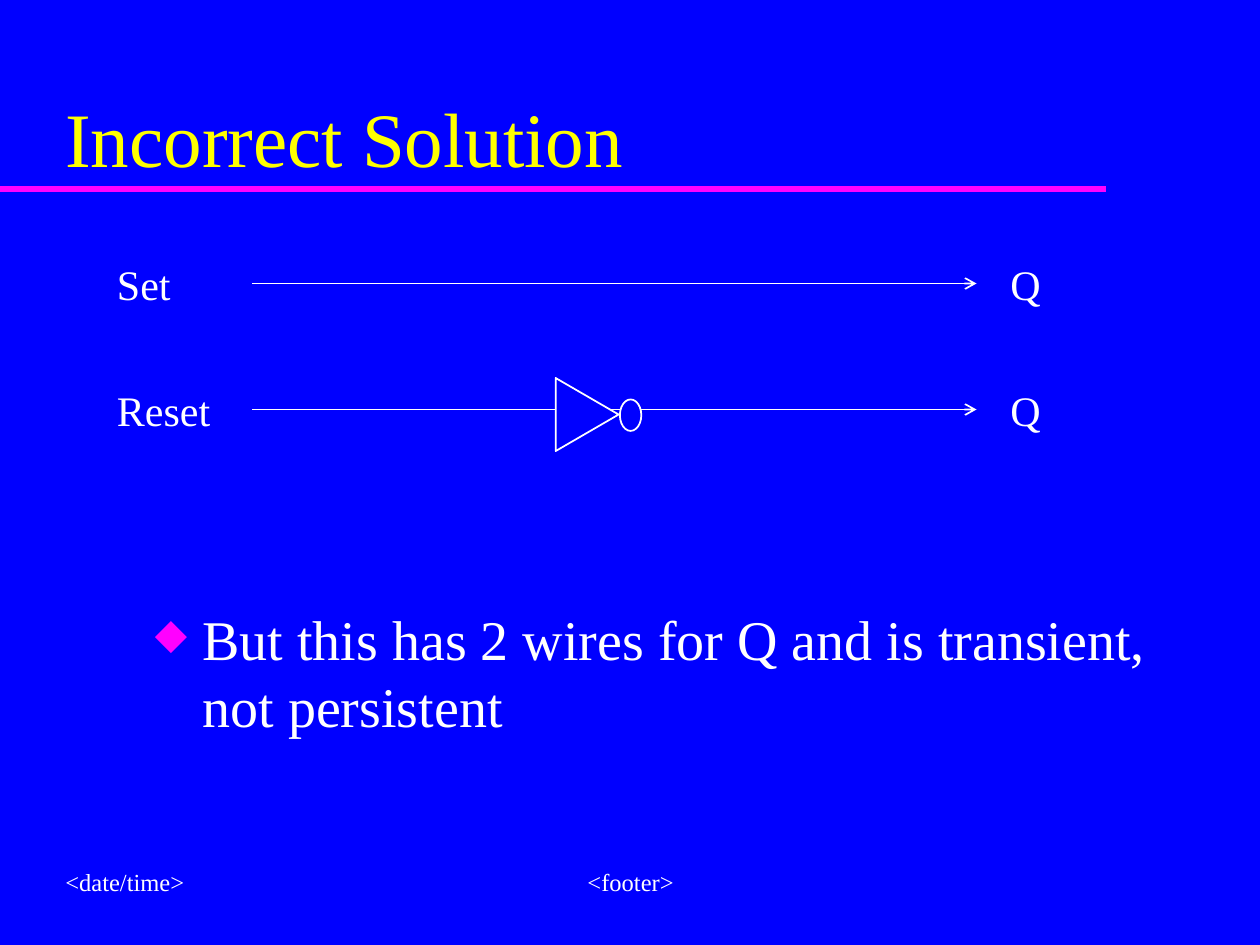
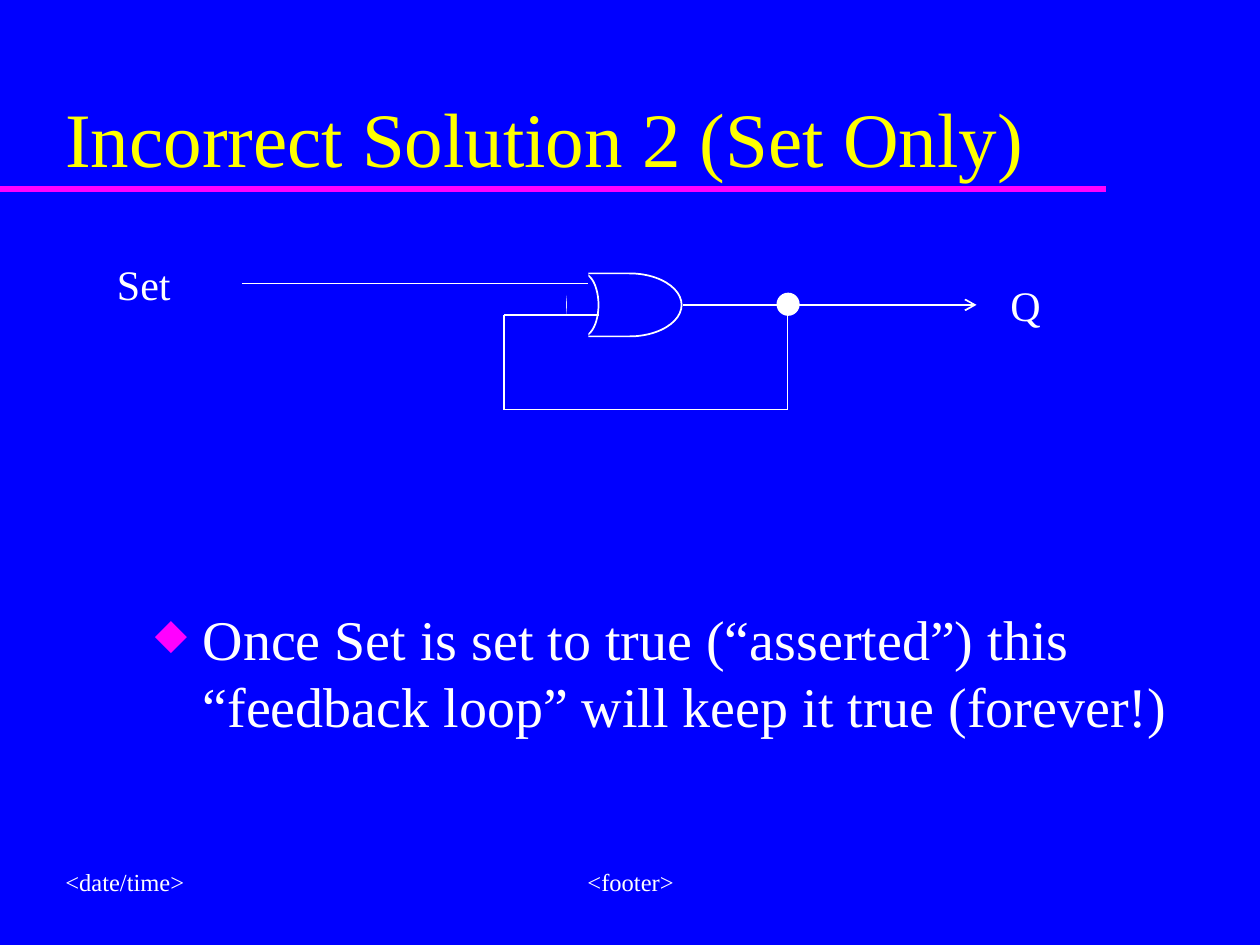
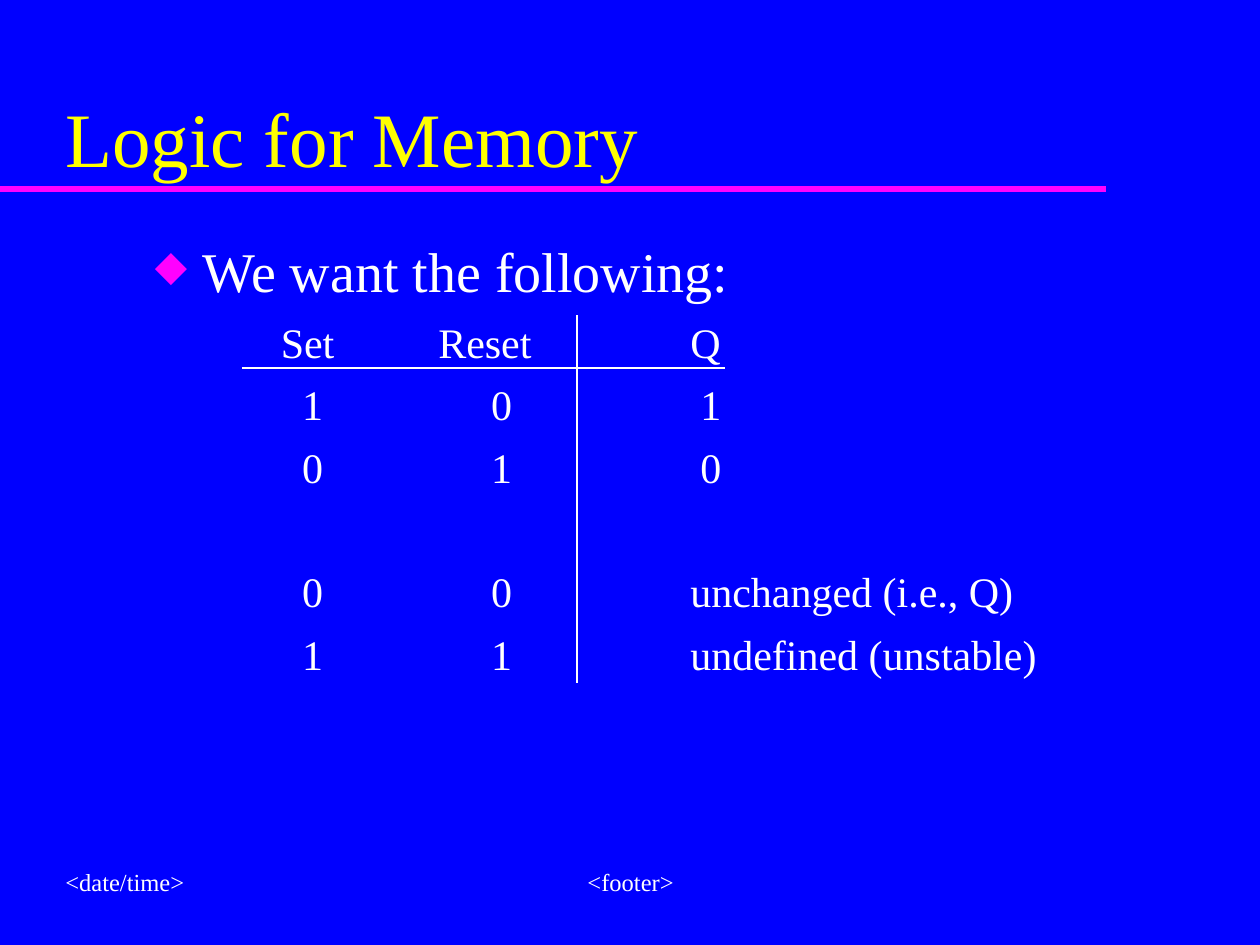
import pptx
import pptx.dml.color
import pptx.enum.shapes
import pptx.enum.text
import pptx.oxml
import pptx.oxml.ns
import pptx.util

Inches = pptx.util.Inches
Pt = pptx.util.Pt
rgb = pptx.dml.color.RGBColor.from_string
Anchor = pptx.enum.text.MSO_ANCHOR
Align = pptx.enum.text.PP_ALIGN
Preset = pptx.enum.shapes.MSO_SHAPE
NS = pptx.oxml.ns.nsdecls("a")

BLUE, WHITE, YELLOW, MAGENTA = "0000FF", "FFFFFF", "FFFF00", "FF00FF"
FONT = "Times New Roman"


def add_text(slide, text, box, size, color=WHITE, anchor=Anchor.TOP, align=Align.LEFT):
    """Place one paragraph in a wrapping box and return its text frame."""
    frame = slide.shapes.add_textbox(*map(Inches, box)).text_frame
    frame.word_wrap = True
    frame.vertical_anchor = anchor
    paragraph = frame.paragraphs[0]
    paragraph.alignment = align
    run = paragraph.add_run()
    run.text = text
    run.font.name = FONT
    run.font.size = Pt(size)
    run.font.color.rgb = rgb(color)
    return frame


def add_wire(slide, ends, color=WHITE, width=1, arrow=False):
    wire = slide.shapes.add_connector(
        pptx.enum.shapes.MSO_CONNECTOR.STRAIGHT, *map(Inches, ends))
    wire.line.color.rgb = rgb(color)
    wire.line.width = Pt(width)
    if arrow:
        wire.line._get_or_add_ln().append(
            pptx.oxml.parse_xml(f'<a:tailEnd {NS} type="arrow"/>'))
    wire._element.spPr.append(pptx.oxml.parse_xml(f"<a:effectLst {NS}/>"))


deck = pptx.Presentation()
deck.slide_width, deck.slide_height = Inches(10), Inches(7.5)
background = deck.slide_master.background.fill
background.solid()
background.fore_color.rgb = rgb(BLUE)

# Title, underline, footers and bullet of every slide
topics = [
    ("Incorrect Solution", 4.75,
     "But this has 2 wires for Q and is transient, not persistent"),
    ("Incorrect Solution 2 (Set Only)", 4.75,
     "Once Set is set to true (“asserted”) this “feedback loop” will keep it true (forever!)"),
    ("Logic for Memory", 1.83, "We want the following:"),
]
slides, bodies = [], []
for title, body_top, statement in topics:
    slide = deck.slides.add_slide(deck.slide_layouts[6])
    add_wire(slide, (0, 1.5, 8.78, 1.5), MAGENTA, 4)
    add_text(slide, "<footer>", (3.42, 6.75, 3.17, 0.5), 14,
             anchor=Anchor.MIDDLE, align=Align.CENTER)
    add_text(slide, "<date/time>", (0.42, 6.75, 2.08, 0.5), 14, anchor=Anchor.MIDDLE)
    add_text(slide, title, (0.42, 0.29, 8.5, 1.21), 44, YELLOW, Anchor.BOTTOM)
    body = add_text(slide, statement, (1.13, body_top, 8.45, 6.33 - body_top), 32)
    properties = body.paragraphs[0]._p.get_or_add_pPr()
    properties.set("marL", str(Inches(0.38)))
    properties.set("indent", str(Inches(-0.38)))
    for bullet in (f'<a:buClr {NS}><a:srgbClr val="{MAGENTA}"/></a:buClr>',
                   f'<a:buSzPct {NS} val="75000"/>',
                   f'<a:buChar {NS} char="◆"/>'):
        properties.append(pptx.oxml.parse_xml(bullet))
    slides.append(slide)
    bodies.append(body)
two_wires, feedback, memory = slides

# Signals of both circuits
for slide, ends in [(two_wires, (2, 2.25, 7.75, 2.25)),
                    (two_wires, (2, 3.25, 7.75, 3.25)),
                    (feedback, (5.42, 2.42, 7.75, 2.42))]:
    add_wire(slide, ends, arrow=True)
for slide, signal, left, top in [
        (two_wires, "Set", 0.83, 2), (two_wires, "Reset", 0.83, 3),
        (two_wires, "Q", 7.92, 2), (two_wires, "Q", 7.92, 3),
        (feedback, "Set", 0.83, 2), (feedback, "Q", 7.92, 2.17)]:
    add_text(slide, signal, (left, top, 1.08, 0.5), 24)

# Inverter, OR gate (a delay shape with a hollowed back) and junction dot
for slide, preset, box, rotation, fill, outline in [
        (two_wires, Preset.FLOWCHART_EXTRACT, (4.37, 3.04, 0.58, 0.5), 90, BLUE, WHITE),
        (two_wires, Preset.OVAL, (4.92, 3.17, 0.17, 0.25), 0, BLUE, WHITE),
        (feedback, Preset.FLOWCHART_DELAY, (4.58, 2.17, 0.83, 0.5), 0, BLUE, WHITE),
        (feedback, Preset.OVAL, (4.5, 2.17, 0.25, 0.5), 0, BLUE, WHITE),
        (feedback, Preset.RECTANGLE, (4.5, 2.08, 0.17, 0.75), 0, BLUE, None),
        (feedback, Preset.OVAL, (6.17, 2.33, 0.17, 0.17), 0, WHITE, WHITE)]:
    part = slide.shapes.add_shape(preset, *map(Inches, box))
    part.rotation = rotation
    part.shadow.inherit = False
    part.fill.solid()
    part.fill.fore_color.rgb = rgb(fill)
    if outline:
        part.line.color.rgb = rgb(outline)
        part.line.width = Pt(1)
    else:
        part.line.fill.background()

# Set input, then the loop from Q back to the gate
add_wire(feedback, (1.92, 2.25, 4.67, 2.25))
loop = [(6.25, 2.42), (6.25, 3.25), (4, 3.25), (4, 2.5), (4.75, 2.5)]
for start, end in zip(loop, loop[1:]):
    add_wire(feedback, start + end)

# Truth table, aligned with tab stops: values, stops, space before
row_gap, group_gap = 7, 42
truth_table = [
    (("Set", "Reset", "Q"), (1, 2.25, 4.25), row_gap),
    (("1", "0", "1"), (1.17, 2.67, 4.33), row_gap),
    (("0", "1", "0"), (1.17, 2.67, 4.33), row_gap),
    (("0", "0", "unchanged (i.e., Q)"), (1.17, 2.67, 4.25), group_gap),
    (("1", "1", "undefined (unstable)"), (1.17, 2.67, 4.25), row_gap),
]
for values, stops, space in truth_table:
    row = bodies[2].add_paragraph()
    row.space_before = Pt(space)
    tabs = "".join(f'<a:tab pos="{Inches(stop)}" algn="l"/>' for stop in stops)
    row._p.get_or_add_pPr().append(
        pptx.oxml.parse_xml(f"<a:tabLst {NS}>{tabs}</a:tabLst>"))
    for value in values:
        run = row.add_run()
        run.text = "\t" + value
        run.font.name = FONT
        run.font.size = Pt(24)
        run.font.color.rgb = rgb(WHITE)
add_wire(memory, (1.92, 2.92, 5.75, 2.92))
add_wire(memory, (4.58, 2.5, 4.58, 5.42))

deck.save("out.pptx")
